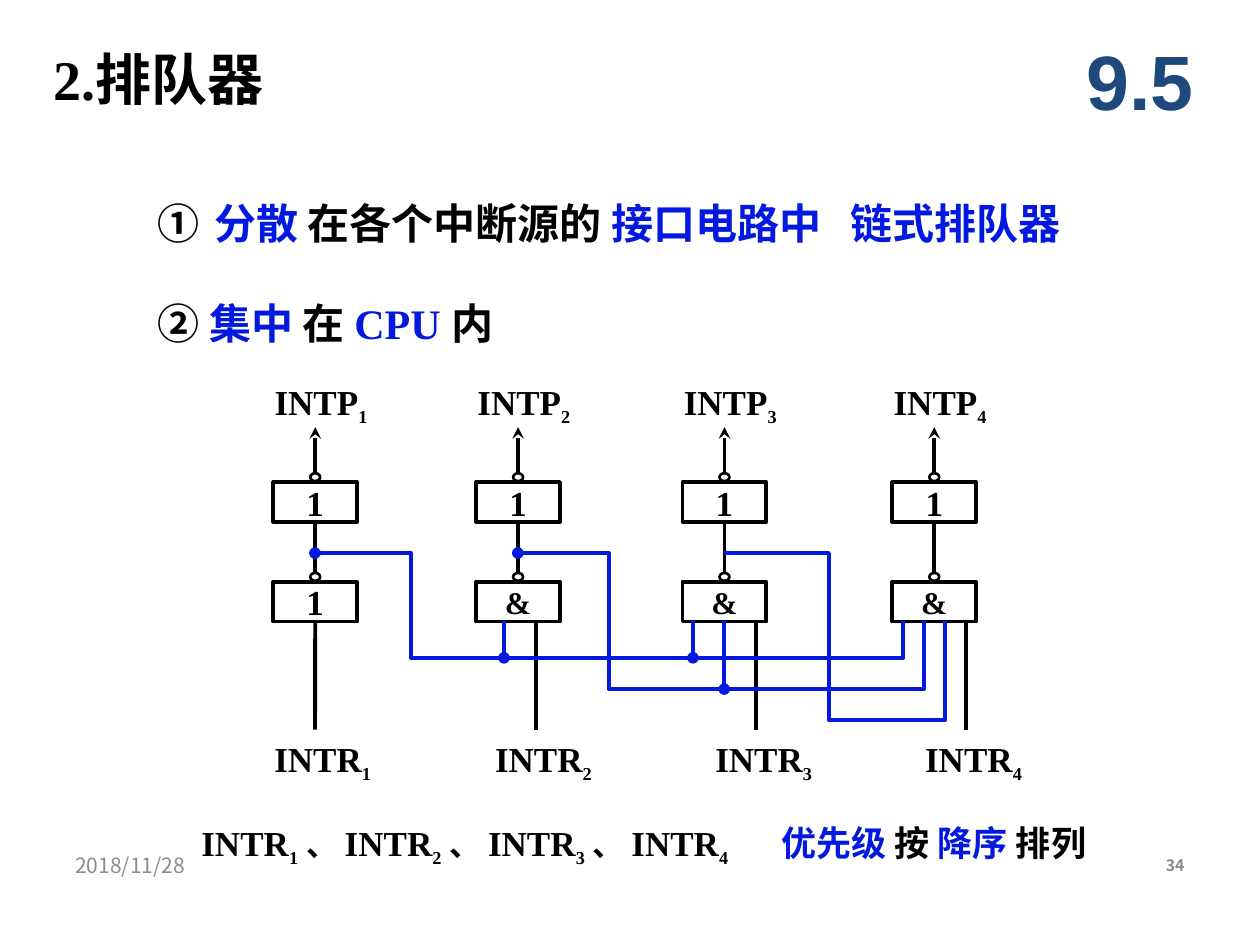
from lxml import etree
from pptx import Presentation
from pptx.dml.color import RGBColor
from pptx.enum.shapes import MSO_CONNECTOR, MSO_SHAPE
from pptx.enum.text import MSO_ANCHOR, MSO_AUTO_SIZE, PP_ALIGN
from pptx.oxml.ns import qn
from pptx.util import Cm, Pt

RECT, OVAL = MSO_SHAPE.RECTANGLE, MSO_SHAPE.OVAL
STRAIGHT = MSO_CONNECTOR.STRAIGHT
TOP, MIDDLE = MSO_ANCHOR.TOP, MSO_ANCHOR.MIDDLE
LEFT, CENTER, RIGHT = PP_ALIGN.LEFT, PP_ALIGN.CENTER, PP_ALIGN.RIGHT
NO_FIT = MSO_AUTO_SIZE.NONE

BLACK = RGBColor(0x00, 0x00, 0x00)
BLUE = RGBColor(0x04, 0x19, 0xE0)
NAVY = RGBColor(0x1F, 0x49, 0x7D)
DATE_GRAY = RGBColor(0x8C, 0x8C, 0x8C)
PAGE_GRAY = RGBColor(0x89, 0x89, 0x89)
SERIF, SANS, CJK = "Times New Roman", "Arial", "Noto Sans CJK SC"

GATE_W, GATE_H = 1.69, 0.8
COLUMNS = [
    (5.51, 6.35, "1"),
    (9.6, 10.8, "&"),
    (13.76, 15.24, "&"),
    (17.99, 19.47, "&"),
]


def add_run(p, text, size=20, color=BLACK, bold=True, font=SERIF, sub=False):
    """Append one formatted run to a paragraph."""
    r = p.add_run()
    r.text = text
    r.font.name, r.font.size, r.font.bold = font, Pt(size), bold
    r.font.color.rgb = color
    if sub:
        r._r.get_or_add_rPr().set("baseline", "-25000")


def add_signal(p, name, number):
    """Append a signal name with its subscript number."""
    add_run(p, name)
    add_run(p, str(number), size=18, sub=True)


def set_frame(tf, inset=(0.25, 0.13), anchor=TOP, wrap=True):
    """Set the margins, anchor and wrapping of a text frame."""
    tf.auto_size = NO_FIT
    tf.word_wrap, tf.vertical_anchor = wrap, anchor
    tf.margin_left = tf.margin_right = Cm(inset[0])
    tf.margin_top = tf.margin_bottom = Cm(inset[1])


def place(sp, x, y, w, h):
    """Move and size a shape."""
    sp.left, sp.top, sp.width, sp.height = Cm(x), Cm(y), Cm(w), Cm(h)


def add_box(s, x, y, w, h, anchor=TOP, align=LEFT):
    """Add a text box and return its first paragraph."""
    tf = s.shapes.add_textbox(Cm(x), Cm(y), Cm(w), Cm(h)).text_frame
    set_frame(tf, anchor=anchor)
    p = tf.paragraphs[0]
    p.alignment = align
    return p


def add_tab(p, pos):
    """Give a paragraph a left tab stop."""
    tabs = etree.SubElement(p._p.get_or_add_pPr(), qn("a:tabLst"))
    etree.SubElement(tabs, qn("a:tab"), pos=str(Cm(pos)), algn="l")


def style_line(sp, color=BLACK, width=2.25, head=None, tail=None):
    """Set the colour, width and ends of an outline."""
    sp.line.color.rgb = color
    sp.line.width = Pt(width)
    ln = sp.line._get_or_add_ln()
    for tag, end in (("a:headEnd", head), ("a:tailEnd", tail)):
        if end:
            etree.SubElement(ln, qn(tag), type=end)


def add_shape(s, kind, x, y, w, h, width):
    """Add an unfilled black outline shape."""
    sp = s.shapes.add_shape(kind, Cm(x), Cm(y), Cm(w), Cm(h))
    sp.shadow.inherit = False
    sp.fill.background()
    style_line(sp, width=width)
    return sp


def add_line(s, x1, y1, x2, y2, **fmt):
    """Add a straight connector without shadow."""
    cx = s.shapes.add_connector(STRAIGHT, Cm(x1), Cm(y1), Cm(x2), Cm(y2))
    style_line(cx, **fmt)
    etree.SubElement(cx._element.spPr, qn("a:effectLst"))
    return cx


def add_gate(s, x, y, symbol):
    """Draw a gate with its inverting bubble and return both."""
    gate = add_shape(s, RECT, x, y, GATE_W, GATE_H, 2.25)
    set_frame(gate.text_frame, inset=(0, 0), anchor=MIDDLE)
    p = gate.text_frame.paragraphs[0]
    p.alignment = CENTER
    add_run(p, symbol, size=20 if symbol == "1" else 18)
    bubble = add_shape(s, OVAL, x + GATE_W / 2 - 0.1, y - 0.18, 0.2, 0.16, 1.5)
    return gate, bubble


def add_column(s, x, y, input_x, symbol, number):
    """Draw one interrupt source: labels, two gates and their wires."""
    mid = x + GATE_W / 2
    add_signal(add_box(s, mid - 1.07, y, 2.96, 1.09), "INTP", number)
    upper, upper_bubble = add_gate(s, x, y + 2.18, "1")
    lower, lower_bubble = add_gate(s, x, y + 4.19, symbol)
    arrow = add_line(s, mid, y + 2, mid, y + 1.07, tail="stealth")
    arrow.begin_connect(upper_bubble, 0)
    wire = add_line(s, mid, y + 2.98, mid, y + 4.01)
    wire.begin_connect(upper, 2)
    wire.end_connect(lower_bubble, 0)
    source = add_line(s, input_x, y + 4.99, input_x, y + 7.17)
    if abs(input_x - mid) < 0.02:
        source.begin_connect(lower, 2)
    add_signal(add_box(s, input_x - 1.07, y + 7.19, 4.24, 1.09), "INTR", number)


def add_priority_wires(s, x, y):
    """Draw the blue wires that block the lower priorities."""
    gate_y = 1.37
    depths = [2.11 + 0.63 * i for i in range(3)]
    starts = [(0, 1.93, "oval"), (4.09, 5.92, "oval"), (8.25, 10.36, None)]
    for i, (start, turn, head) in enumerate(starts):
        end = 11.86 + 0.42 * i
        route = [(start, 0), (turn, 0), (turn, depths[i]), (end, depths[i]), (end, gate_y)]
        points = [(Cm(x + px), Cm(y + py)) for px, py in route]
        fb = s.shapes.build_freeform(*points[0])
        fb.add_line_segments(points[1:], close=False)
        sp = fb.convert_to_shape()
        sp.shadow.inherit = False
        sp.fill.background()
        style_line(sp, color=BLUE, head=head)
    for tap, depth in ((3.81, depths[0]), (7.62, depths[0]), (8.25, depths[1])):
        add_line(s, x + tap, y + gate_y, x + tap, y + depth, color=BLUE, tail="oval")


def add_title(s, x, y, w, h):
    """Fill the title placeholder."""
    sp = s.shapes.title
    place(sp, x, y, w, h)
    set_frame(sp.text_frame, inset=(0, 0.13), anchor=MIDDLE, wrap=False)
    p = sp.text_frame.paragraphs[0]
    p.alignment = LEFT
    add_run(p, "2.排队器", size=32)


def add_list(s, x, y, w, h):
    """Fill the body placeholder with the two ways to build the circuit."""
    sp = s.placeholders[1]
    place(sp, x, y, w, h)
    tf = sp.text_frame
    set_frame(tf, inset=(0, 0))
    items = [
        [("①", BLACK, 24), (" ", BLACK, 36), ("分散 ", BLUE, 24),
         ("在各个中断源的 ", BLACK, 24), ("接口电路中\t链式排队器", BLUE, 24)],
        [("② ", BLACK, 24), ("集中 ", BLUE, 24), ("在 ", BLACK, 24),
         ("CPU ", BLUE, 24), ("内", BLACK, 24)],
    ]
    for i, runs in enumerate(items):
        p = tf.add_paragraph() if i else tf.paragraphs[0]
        pPr = p._p.get_or_add_pPr()
        pPr.set("marL", "0")
        pPr.set("indent", "0")
        etree.SubElement(pPr, qn("a:buNone"))
        add_tab(p, 14.12)
        p.space_before = Pt(26 if i else 0)
        for text, color, size in runs:
            add_run(p, text, size=size, color=color)


def add_summary(s, x, y, w, h):
    """Write the order of the priorities under the circuit."""
    p = add_box(s, x, y, w, h)
    add_tab(p, 11.7)
    for number, gap in enumerate((" 、 ", " 、 ", " 、 ", "\t"), 1):
        add_signal(p, "INTR", number)
        add_run(p, gap, size=18)
    for text, color in (("优先级 ", BLUE), ("按 ", BLACK), ("降序 ", BLUE), ("排列", BLACK)):
        add_run(p, text, color=color)


def main():
    """Build and save the slide."""
    prs = Presentation()
    prs.slide_width, prs.slide_height = Cm(25.4), Cm(19.05)
    s = prs.slides.add_slide(prs.slide_layouts[1])
    add_title(s, 1.07, 0.84, 10.8, 1.47)
    add_list(s, 3.18, 3.56, 20.96, 3.8)
    for number, (x, input_x, symbol) in enumerate(COLUMNS, 1):
        add_column(s, x, 7.54, input_x, symbol, number)
    add_priority_wires(s, 6.35, 11.15)
    add_summary(s, 3.81, 16.43, 19.69, 1.3)
    add_run(add_box(s, 1.27, 16.94, 5.92, 1.02, MIDDLE), "2018/11/28",
            size=12, color=DATE_GRAY, bold=False, font=CJK)
    add_run(add_box(s, 18.21, 16.94, 5.92, 1.02, MIDDLE, RIGHT), "34",
            size=9, color=PAGE_GRAY, font=CJK)
    add_run(add_box(s, 21.39, 0.43, 3.18, 2.34, MIDDLE, CENTER), "9.5",
            size=44, color=NAVY, font=SANS)
    prs.save("out.pptx")


if __name__ == "__main__":
    main()
